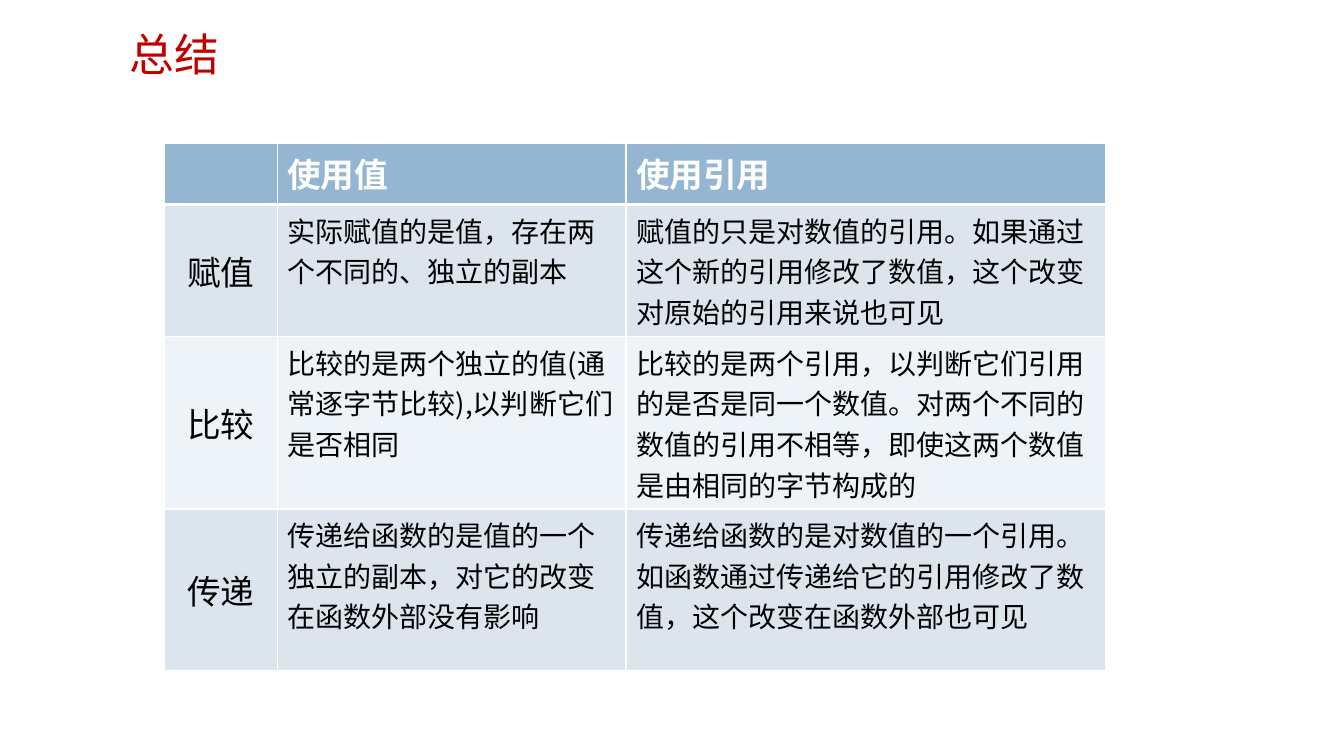
from lxml.etree import SubElement
from pptx import Presentation
from pptx.dml.color import RGBColor
from pptx.enum.text import MSO_ANCHOR as Anchor, PP_ALIGN as Align
from pptx.oxml.ns import qn
from pptx.util import Inches, Pt

COLORS = {
    "title": "C00000", "header": "94B6D2", "odd": "DCE5EE", "even": "EEF3F7",
    "white": "FFFFFF", "black": "000000",
}
CJK_FONT = "Noto Sans CJK SC"
COLUMN_WIDTHS = [1.12, 3.46, 4.76]
ROW_HEIGHTS = [0.61, 1.31, 1.71, 1.6]
ROWS = [
    ("", "使用值", "使用引用"),
    ("赋值", "实际赋值的是值，存在两个不同的、独立的副本",
     "赋值的只是对数值的引用。如果通过这个新的引用修改了数值，这个改变对原始的引用来说也可见"),
    ("比较", "比较的是两个独立的值(通常逐字节比较),以判断它们是否相同",
     "比较的是两个引用，以判断它们引用的是否是同一个数值。对两个不同的数值的引用不相等，即使这两个数值是由相同的字节构成的"),
    ("传递", "传递给函数的是值的一个独立的副本，对它的改变在函数外部没有影响",
     "传递给函数的是对数值的一个引用。如函数通过传递给它的引用修改了数值，这个改变在函数外部也可见"),
]


def write_text(frame, text, size=20, font=CJK_FONT, color="black", bold=False, align=Align.LEFT):
    """Write one formatted paragraph into a text frame."""
    para = frame.paragraphs[0]
    para.alignment = align
    span = para.add_run()
    span.text = text
    span.font.size = Pt(size)
    span.font.name = font
    span.font.bold = bold
    span.font.color.rgb = RGBColor.from_string(COLORS[color])
    SubElement(span.font._element, qn("a:ea"), typeface=CJK_FONT)


def set_borders(cell, **widths):
    """Draw white borders, with widths in points keyed by side L, R, T and B."""
    properties = cell._tc.get_or_add_tcPr()
    for position, (side, width) in enumerate(widths.items()):
        line = SubElement(properties, qn(f"a:ln{side}"), w=str(Pt(width)))
        fill = SubElement(line, qn("a:solidFill"))
        SubElement(fill, qn("a:srgbClr"), val=COLORS["white"])
        properties.insert(position, line)


def add_title(page, left, top, width, height):
    """Place the slide heading."""
    box = page.shapes.add_textbox(Inches(left), Inches(top), Inches(width), Inches(height))
    box.text_frame.word_wrap = True
    box.text_frame.vertical_anchor = Anchor.MIDDLE
    write_text(box.text_frame, "总结", size=32, font="Arial", color="title")


def add_comparison(page, left, top):
    """Place the table comparing values with references."""
    table = page.shapes.add_table(
        len(ROWS), len(COLUMN_WIDTHS), Inches(left), Inches(top),
        Inches(sum(COLUMN_WIDTHS)), Inches(sum(ROW_HEIGHTS))).table
    for column, width in zip(table.columns, COLUMN_WIDTHS):
        column.width = Inches(width)
    for row, height in zip(table.rows, ROW_HEIGHTS):
        row.height = Inches(height)
    for row_index, texts in enumerate(ROWS):
        is_header = row_index == 0
        fill = "header" if is_header else "odd" if row_index % 2 else "even"
        for column_index, text in enumerate(texts):
            cell = table.cell(row_index, column_index)
            cell.fill.solid()
            cell.fill.fore_color.rgb = RGBColor.from_string(COLORS[fill])
            set_borders(cell, L=1, R=1, T=3 if row_index == 1 else 1, B=3 if is_header else 1)
            if is_header and text:
                write_text(cell.text_frame, text, size=24, font="Roboto", color="white", bold=True)
            elif column_index == 0 and text:
                cell.vertical_anchor = Anchor.MIDDLE
                write_text(cell.text_frame, text, size=24, align=Align.CENTER)
            elif text:
                write_text(cell.text_frame, text)


def main():
    """Build and save the summary slide."""
    deck = Presentation()
    deck.slide_width, deck.slide_height = Inches(13.33), Inches(7.5)
    page = deck.slides.add_slide(deck.slide_layouts[6])
    add_title(page, 1.19, 0.26, 8.96, 0.54)
    add_comparison(page, 1.63, 1.42)
    deck.save("out.pptx")


if __name__ == "__main__":
    main()
